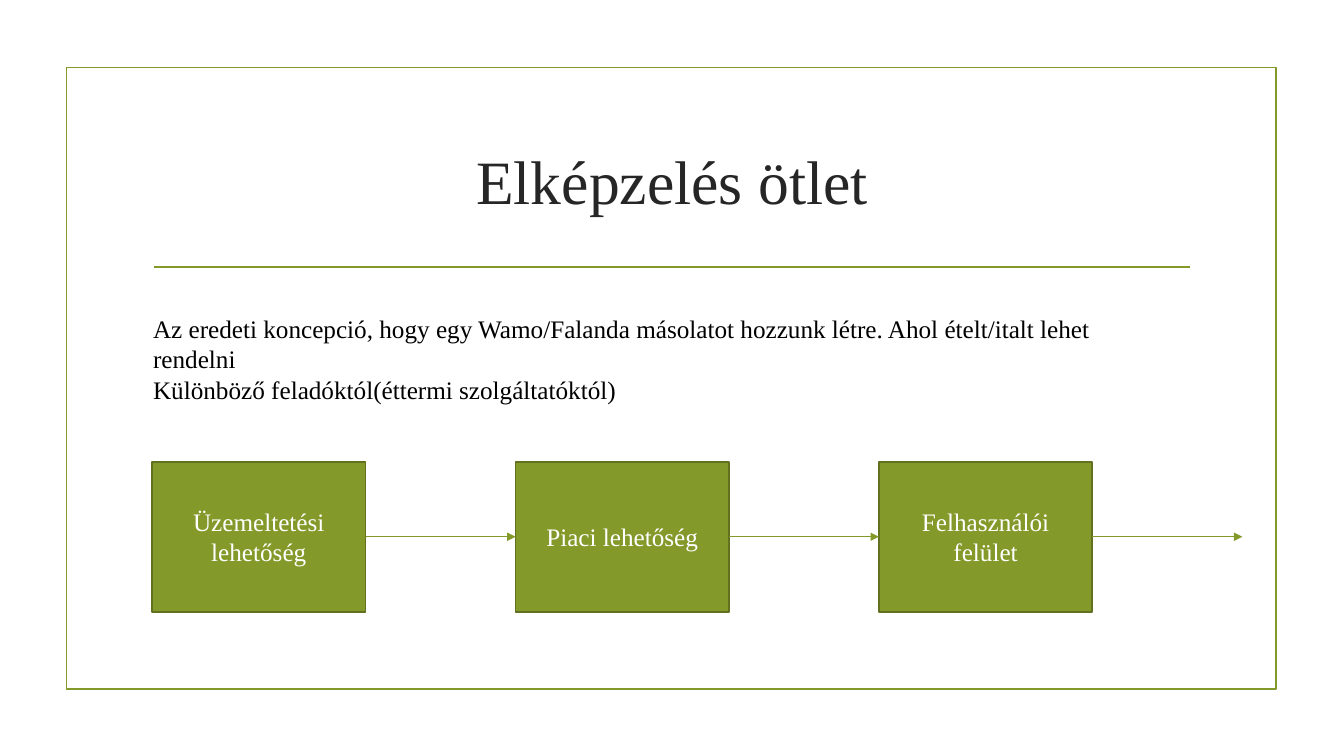
from dataclasses import dataclass

from lxml.etree import SubElement
from pptx import Presentation
from pptx.dml.color import RGBColor
from pptx.enum.shapes import MSO_CONNECTOR as Connector, MSO_SHAPE as Shape
from pptx.enum.text import MSO_ANCHOR as Anchor, PP_ALIGN as Align
from pptx.oxml.ns import qn
from pptx.util import Pt

COLORS = {
    "background": "FFFFFF",
    "green": "83992A",
    "dark_green": "61711F",
    "title": "262626",
    "body": "000000",
    "box_text": "FFFFFF",
}
FONT = "Times New Roman"

BOX_LEFT, BOX_TOP = 108.72, 329.76
BOX_WIDTH, BOX_HEIGHT = 152.4, 107.28
BOX_PITCH = 259.56
TITLE = "Elképzelés ötlet"
DESCRIPTION = (
    "Az eredeti koncepció, hogy egy Wamo/Falanda másolatot hozzunk létre. "
    "Ahol ételt/italt lehet rendelni",
    "Különböző feladóktól(éttermi szolgáltatóktól)",
)
STEPS = ("Üzemeltetési lehetőség", "Piaci lehetőség", "Felhasználói felület")


@dataclass(frozen=True)
class Area:
    left: float
    top: float
    width: float
    height: float

    def lengths(self) -> tuple:
        return Pt(self.left), Pt(self.top), Pt(self.width), Pt(self.height)


FRAME = Area(47.5, 48.2, 864, 444.2)
TITLE_AREA = Area(102.24, 77.04, 756, 102.96)
DESCRIPTION_AREA = Area(102.24, 220.32, 728.64, 51.12)


def color(name: str) -> RGBColor:
    return RGBColor.from_string(COLORS[name])


def write(shape, paragraphs, size: float, color_name: str, align, anchor) -> None:
    frame = shape.text_frame
    frame.word_wrap = True
    frame.vertical_anchor = anchor
    frame.text = "\n".join(paragraphs)
    font_format = {"name": FONT, "size": Pt(size), "bold": False}
    for paragraph in frame.paragraphs:
        paragraph.alignment = align
        for run in paragraph.runs:
            for attribute, value in font_format.items():
                setattr(run.font, attribute, value)
            run.font.color.rgb = color(color_name)


def add_rectangle(slide, area: Area, line_color: str, fill_color: str = ""):
    rectangle = slide.shapes.add_shape(Shape.RECTANGLE, *area.lengths())
    rectangle.shadow.inherit = False
    if fill_color:
        rectangle.fill.solid()
        rectangle.fill.fore_color.rgb = color(fill_color)
    else:
        rectangle.fill.background()
    rectangle.line.color.rgb = color(line_color)
    rectangle.line.width = Pt(1.25)
    return rectangle


def add_line(slide, left: float, right: float, y: float, width: float):
    line = slide.shapes.add_connector(
        Connector.STRAIGHT, Pt(left), Pt(y), Pt(right), Pt(y)
    )
    line.line.color.rgb = color("green")
    line.line.width = Pt(width)
    SubElement(line.element.spPr, qn("a:effectLst"))
    return line


def add_steps(slide) -> None:
    """Draw the row of boxes, each with an arrow leading on from it."""
    boxes = []
    for index, label in enumerate(STEPS):
        area = Area(BOX_LEFT + index * BOX_PITCH, BOX_TOP, BOX_WIDTH, BOX_HEIGHT)
        box = add_rectangle(slide, area, "dark_green", "green")
        write(box, [label], 18, "box_text", Align.CENTER, Anchor.MIDDLE)
        boxes.append(box)

    for index, box in enumerate(boxes):
        left = BOX_LEFT + index * BOX_PITCH
        arrow = add_line(
            slide, left + BOX_WIDTH, left + BOX_PITCH, BOX_TOP + BOX_HEIGHT / 2, 0.75
        )
        SubElement(arrow.line._get_or_add_ln(), qn("a:tailEnd"), type="triangle")
        arrow.begin_connect(box, 3)
        if index + 1 < len(boxes):
            arrow.end_connect(boxes[index + 1], 1)


def main() -> None:
    presentation = Presentation()
    presentation.slide_width, presentation.slide_height = Pt(960), Pt(540)
    slide = presentation.slides.add_slide(presentation.slide_layouts[5])
    slide.background.fill.solid()
    slide.background.fill.fore_color.rgb = color("background")

    add_rectangle(slide, FRAME, "green")
    add_line(slide, 110.16, 850.32, 190.8, 1.25)

    title = slide.shapes.title
    title.left, title.top, title.width, title.height = TITLE_AREA.lengths()
    write(title, [TITLE], 44, "title", Align.CENTER, Anchor.MIDDLE)

    description = slide.shapes.add_textbox(*DESCRIPTION_AREA.lengths())
    write(description, DESCRIPTION, 18, "body", Align.LEFT, Anchor.TOP)

    add_steps(slide)
    presentation.save("out.pptx")


if __name__ == "__main__":
    main()
